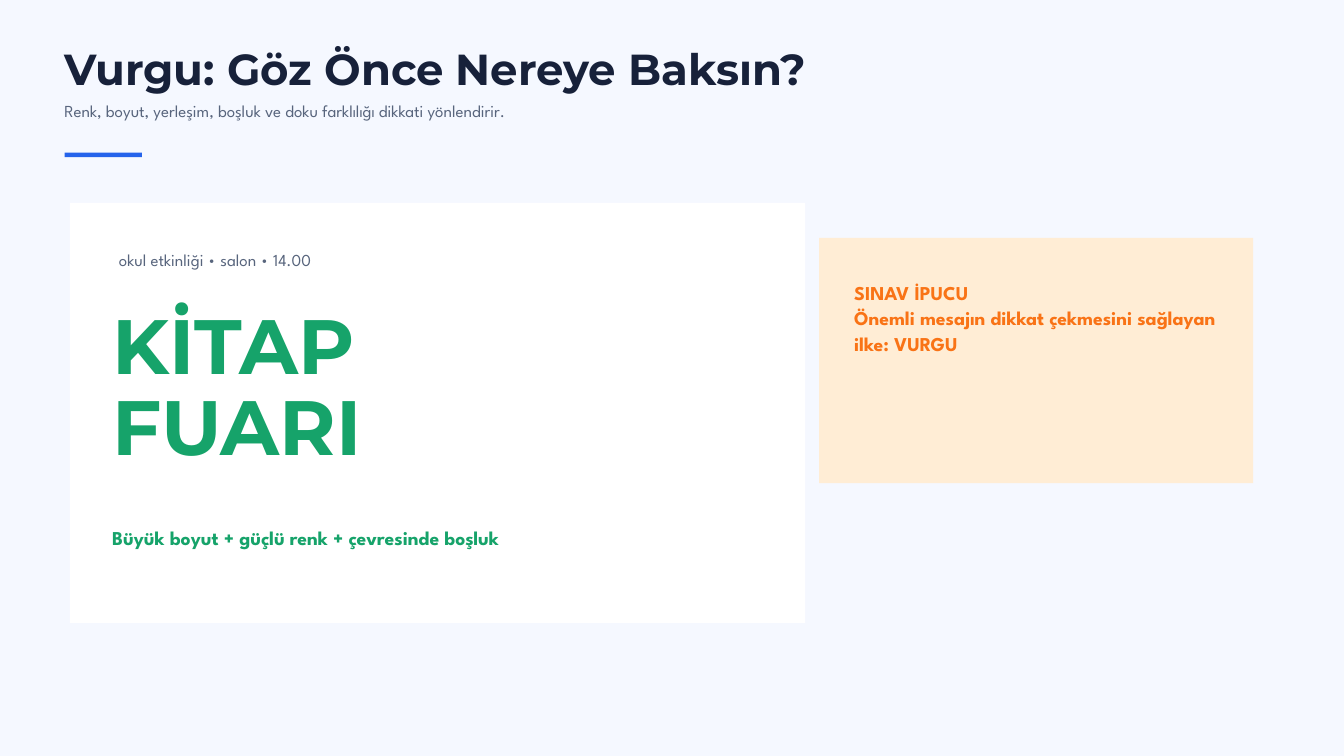
from pptx import Presentation
from pptx.dml.color import RGBColor
from pptx.enum.shapes import MSO_SHAPE
from pptx.enum.text import MSO_AUTO_SIZE
from pptx.util import Inches, Pt

RECT = MSO_SHAPE.RECTANGLE
GROW = MSO_AUTO_SIZE.SHAPE_TO_FIT_TEXT

PAPER = RGBColor(0xF5, 0xF8, 0xFF)
NAVY = RGBColor(0x17, 0x21, 0x3A)
GREY = RGBColor(0x58, 0x65, 0x7D)
BLUE = RGBColor(0x25, 0x63, 0xEB)
WHITE = RGBColor(0xFF, 0xFF, 0xFF)
GREEN = RGBColor(0x16, 0xA3, 0x6A)
PEACH = RGBColor(0xFF, 0xED, 0xD5)
ORANGE = RGBColor(0xF9, 0x73, 0x16)

HEAD = "Montserrat"
BODY = "League Spartan"


def write(frame, text, font=BODY, size=18, lead=22.5, color=GREY, bold=False):
    """Fill a text frame, one paragraph per line of text."""
    for i, line in enumerate(text.split("\n")):
        para = frame.paragraphs[0] if i == 0 else frame.add_paragraph()
        para.line_spacing = Pt(lead)
        run = para.add_run()
        run.text = line
        run.font.name = font
        run.font.size = Pt(size)
        run.font.bold = bold
        run.font.color.rgb = color


class Page:
    def __init__(self, slide):
        self.slide = slide
        fill = slide.background.fill
        fill.solid()
        fill.fore_color.rgb = PAPER

    def panel(self, left, top, width, height, color):
        box = self.slide.shapes.add_shape(
            RECT, Inches(left), Inches(top), Inches(width), Inches(height))
        box.shadow.inherit = False
        box.fill.solid()
        box.fill.fore_color.rgb = color
        box.line.fill.background()

    def label(self, left, top, width, height, text, **style):
        box = self.slide.shapes.add_textbox(
            Inches(left), Inches(top), Inches(width), Inches(height))
        frame = box.text_frame
        frame.margin_left = frame.margin_right = 0
        frame.margin_top = frame.margin_bottom = 0
        frame.word_wrap = True
        frame.auto_size = GROW
        write(frame, text, **style)


def main():
    deck = Presentation()
    deck.slide_width, deck.slide_height = Inches(20), Inches(11.25)
    page = Page(deck.slides.add_slide(deck.slide_layouts[6]))
    strong = dict(size=21, lead=27.3, bold=True)

    # Heading
    page.label(0.96, 0.73, 15.62, 0.69, "Vurgu: Göz Önce Nereye Baksın?",
               font=HEAD, size=46.5, lead=48.8, color=NAVY, bold=True)
    page.label(0.96, 1.48, 16.04, 0.3,
               "Renk, boyut, yerleşim, boşluk ve doku farklılığı dikkati yönlendirir.")
    page.panel(0.96, 2.27, 1.15, 0.07, BLUE)

    # Poster example
    page.panel(1.04, 3.02, 10.94, 6.25, WHITE)
    page.label(1.77, 3.7, 9.38, 0.3, "okul etkinliği • salon • 14.00")
    page.label(1.67, 4.6, 9.9, 2.44, "KİTAP\nFUARI",
               font=HEAD, size=82.5, lead=86.6, color=GREEN, bold=True)
    page.label(1.67, 7.79, 9.38, 0.37,
               "Büyük boyut + güçlü renk + çevresinde boşluk",
               color=GREEN, **strong)

    # Exam tip
    page.panel(12.19, 3.54, 6.46, 3.65, PEACH)
    page.label(12.71, 4.15, 5.42, 1.11,
               "SINAV İPUCU\nÖnemli mesajın dikkat çekmesini sağlayan ilke: VURGU",
               color=ORANGE, **strong)

    deck.save("out.pptx")


if __name__ == "__main__":
    main()
